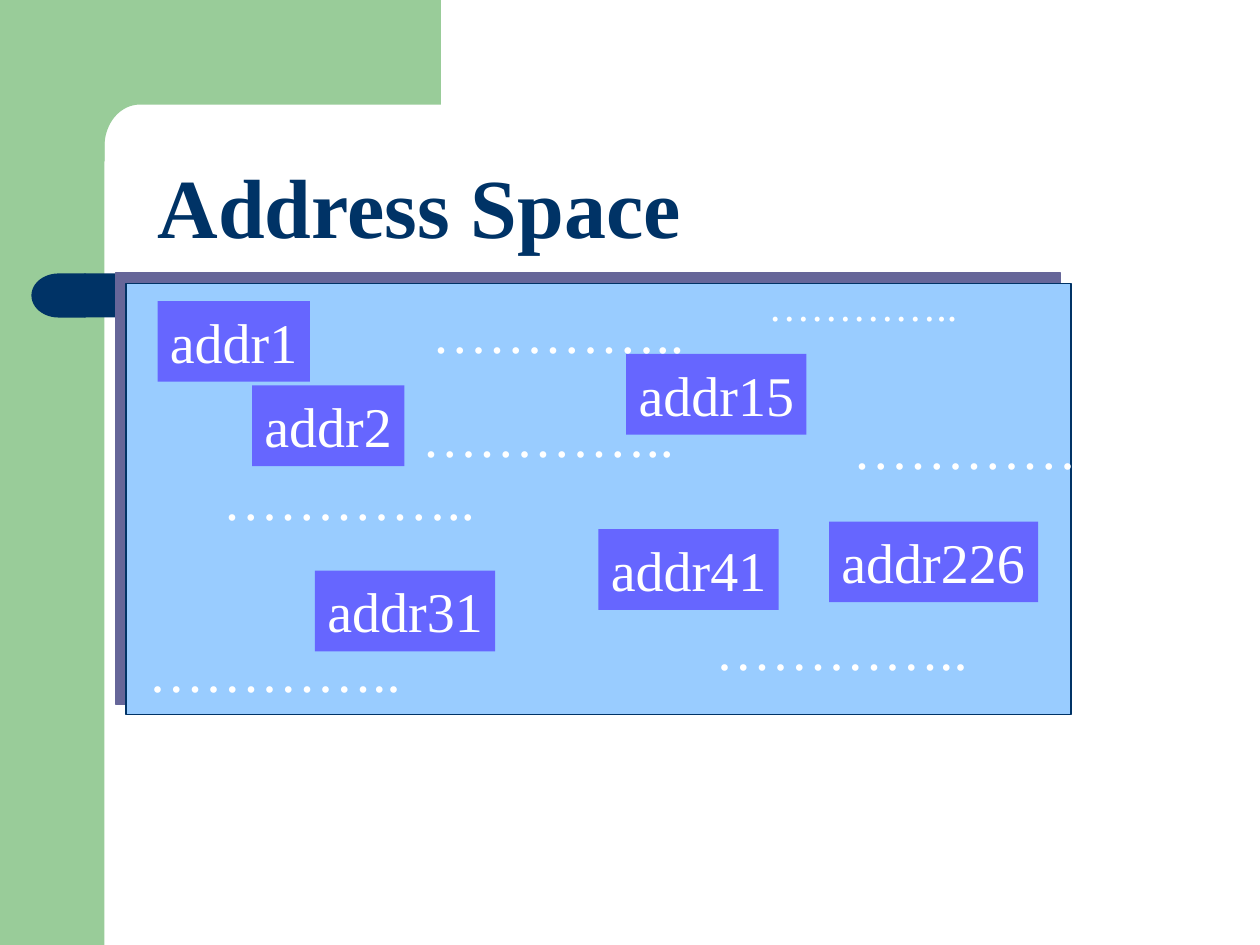
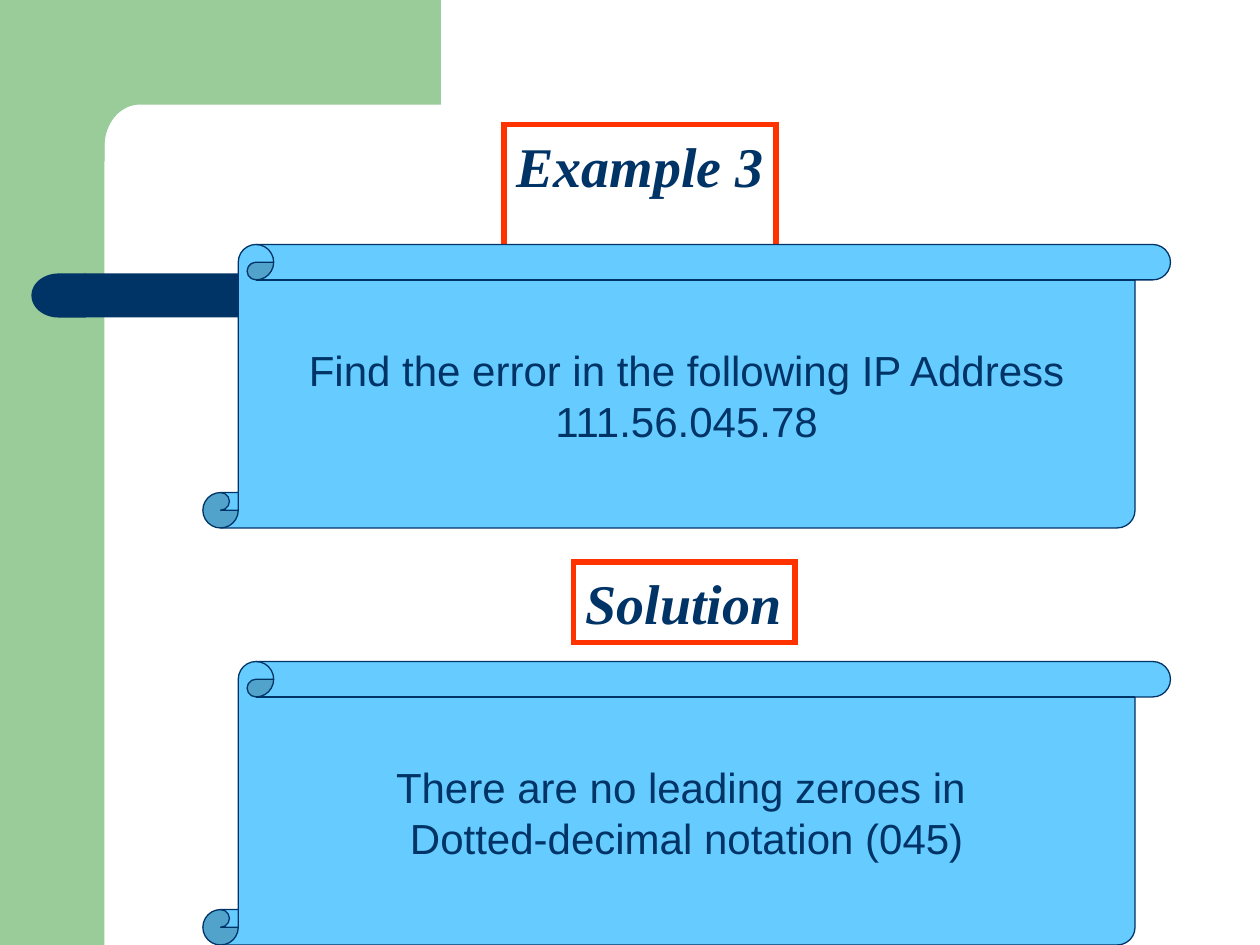
"""Build two lecture slides on IP addresses: the address space and a worked example."""
import math
from dataclasses import dataclass

from lxml import etree
from pptx import Presentation
from pptx.dml.color import RGBColor
from pptx.enum import shapes, text
from pptx.oxml.ns import qn
from pptx.util import Inches, Pt

GREEN, NAVY, WHITE = "99CC99", "003366", "FFFFFF"
PANEL, PANEL_SHADOW, CHIP = "99CCFF", "666699", "6666FF"
SCROLL, RED = "66CCFF", "FF3300"
SERIF, SANS = "Times New Roman", "Arial"
SHAPE = shapes.MSO_SHAPE
DOTS = "………….."


@dataclass(frozen=True)
class Box:
    x: float
    y: float
    w: float
    h: float


@dataclass(frozen=True)
class Style:
    size: int
    color: str
    font: str = SERIF
    bold: bool = False
    italic: bool = False
    align: text.PP_ALIGN = text.PP_ALIGN.LEFT
    anchor: text.MSO_ANCHOR = text.MSO_ANCHOR.TOP
    grow: bool = True
    right_inset: float = 0.05


@dataclass(frozen=True)
class Label:
    words: str
    box: Box
    size: int = 32


TITLE = Style(48, NAVY, bold=True)
HEADING = Style(32, NAVY, bold=True, italic=True)
SCROLL_TEXT = Style(24, NAVY, SANS, align=text.PP_ALIGN.CENTER,
                    anchor=text.MSO_ANCHOR.MIDDLE, grow=False, right_inset=0.1)

ADDRESSES = [
    Label("addr15", Box(4.97, 2.81, 1.43, 0.64)),
    Label("addr1", Box(1.25, 2.39, 1.21, 0.64)),
    Label("addr2", Box(2, 3.06, 1.21, 0.64)),
    Label("addr41", Box(4.75, 4.2, 1.43, 0.64)),
    Label("addr31", Box(2.5, 4.53, 1.43, 0.64)),
    Label("addr226", Box(6.58, 4.14, 1.66, 0.64)),
]
GAPS = [Label(DOTS, Box(x, y, 2.2, 0.64)) for x, y in (
    (6.67, 3.23), (1.67, 3.64), (3.33, 2.31), (3.25, 3.14), (5.58, 4.83), (1.08, 5))]
GAPS.append(Label(DOTS, Box(6, 2.17, 1.7, 0.5), 24))


def rgb(color: str) -> RGBColor:
    return RGBColor.from_string(color)


def place(sp, box: Box) -> None:
    sp.left, sp.top = Inches(box.x), Inches(box.y)
    sp.width, sp.height = Inches(box.w), Inches(box.h)


def paint(sp, fill: str, line: str = "", width: float = 0.75) -> None:
    sp.fill.solid()
    sp.fill.fore_color.rgb = rgb(fill)
    if line:
        sp.line.color.rgb = rgb(line)
        sp.line.width = Pt(width)
    else:
        sp.line.fill.background()


def add_preset(s, kind: SHAPE, box: Box, fill: str, line: str = ""):
    sp = s.shapes.add_shape(kind, *(Inches(v) for v in (box.x, box.y, box.w, box.h)))
    sp.shadow.inherit = False
    paint(sp, fill, line)
    return sp


def write(sp, words: str, style: Style) -> None:
    tf = sp.text_frame
    tf.text = words
    tf.word_wrap = False
    tf.margin_right = Inches(style.right_inset)
    tf.vertical_anchor = style.anchor
    tf.auto_size = (text.MSO_AUTO_SIZE.SHAPE_TO_FIT_TEXT if style.grow
                    else text.MSO_AUTO_SIZE.NONE)
    for p in tf.paragraphs:
        p.alignment = style.align
        p.font.name, p.font.size = style.font, Pt(style.size)
        p.font.bold, p.font.italic = style.bold, style.italic
        p.font.color.rgb = rgb(style.color)


def add_corner(s) -> None:
    arc = [(1.11 - 0.28 * math.sin(a), 1.16 - 0.33 * math.cos(a))
           for a in (math.pi / 2 * i / 16 for i in range(17))]
    outline = [(3.5, 0.83), *arc, (0.83, 1.28), (0.5, 1.28), (0.5, 0)]
    fb = s.shapes.build_freeform(Inches(3.5), 0)
    fb.add_line_segments([(Inches(x), Inches(y)) for x, y in outline], close=True)
    sp = fb.convert_to_shape()
    sp.shadow.inherit = False
    paint(sp, GREEN)


def add_slide(prs, title: str, box: Box, style: Style):
    s = prs.slides.add_slide(prs.slide_layouts[5])
    add_preset(s, SHAPE.RECTANGLE, Box(0, 0, 0.83, 7.5), GREEN)
    add_corner(s)
    add_preset(s, SHAPE.RECTANGLE, Box(0.67, 2.17, 7.67, 0.35), NAVY)
    cap = add_preset(s, SHAPE.FLOWCHART_DELAY, Box(0.25, 2.17, 0.43, 0.35), NAVY)
    cap._element.spPr.find(qn("a:xfrm")).set("flipH", "1")
    place(s.shapes.title, box)
    write(s.shapes.title, title, style)
    return s


def cast_shadow(sp, color: str, distance: float, degrees: int) -> None:
    effects = sp._element.spPr.find(qn("a:effectLst"))
    shadow = etree.SubElement(effects, qn("a:outerShdw"), dist=str(Pt(distance)),
                              dir=str(degrees * 60000), algn="ctr", rotWithShape="0")
    etree.SubElement(shadow, qn("a:srgbClr"), val=color)


def frame(sp) -> None:
    paint(sp, WHITE, RED, 3)
    etree.SubElement(sp._element.spPr.find(qn("a:ln")), qn("a:miter"), lim="800000")


def address_space(prs) -> None:
    s = add_slide(prs, "Address Space", Box(1.15, 1.18, 4.36, 0.9), TITLE)
    panel = add_preset(s, SHAPE.RECTANGLE, Box(1, 2.25, 7.5, 3.42), PANEL, NAVY)
    cast_shadow(panel, PANEL_SHADOW, 8.5, 225)
    for label in ADDRESSES:
        chip = add_preset(s, SHAPE.RECTANGLE, label.box, CHIP)
        write(chip, label.words, Style(label.size, WHITE))
    for label in GAPS:
        b = label.box
        tb = s.shapes.add_textbox(*(Inches(v) for v in (b.x, b.y, b.w, b.h)))
        write(tb, label.words, Style(label.size, WHITE, right_inset=0.1))


def add_scroll(s, y: float, words: str) -> None:
    sp = add_preset(s, SHAPE.VERTICAL_SCROLL, Box(1.61, y, 7.68, 2.25), SCROLL, NAVY)
    write(sp, words, SCROLL_TEXT)


def example(prs) -> None:
    s = add_slide(prs, "Example 3", Box(4, 0.99, 2.16, 0.64), HEADING)
    solution = add_preset(s, SHAPE.RECTANGLE, Box(4.55, 4.46, 1.76, 0.64), WHITE)
    write(solution, "Solution", HEADING)
    for sp in (s.shapes.title, solution):
        frame(sp)
    add_scroll(s, 1.94, "Find the error in the following IP Address\n111.56.045.78")
    add_scroll(s, 5.25, "There are no leading zeroes in \nDotted-decimal notation (045)")


def main() -> None:
    prs = Presentation()
    prs.slide_width, prs.slide_height = Inches(10), Inches(7.5)
    address_space(prs)
    example(prs)
    prs.save("out.pptx")


if __name__ == "__main__":
    main()
